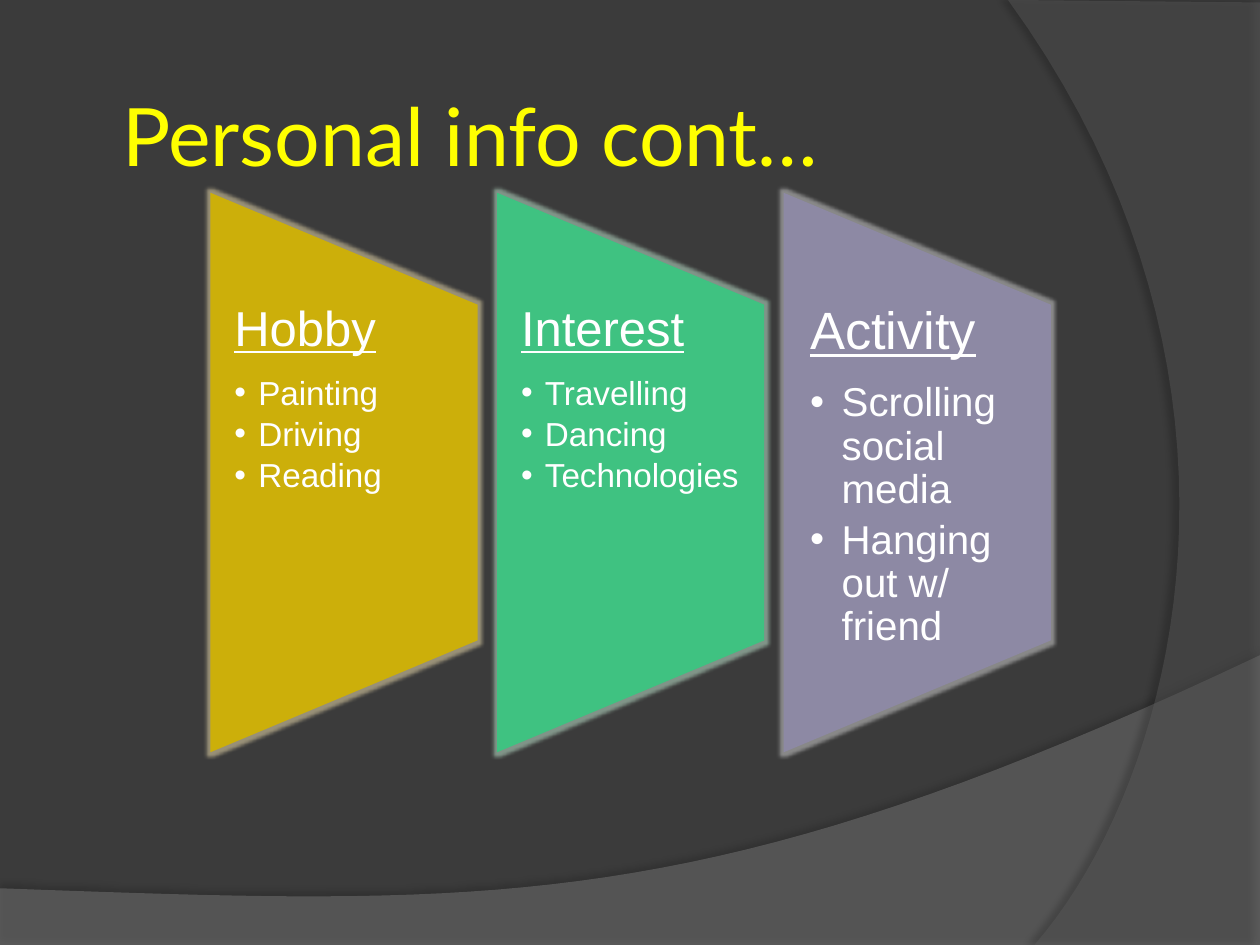
"""Build the personal info slide with three trapezoid panels."""
import lxml.etree
import pptx
import pptx.dml.color
import pptx.enum.shapes
import pptx.enum.text
import pptx.oxml.ns
import pptx.util

Inches, Pt = pptx.util.Inches, pptx.util.Pt
qn = pptx.oxml.ns.qn

TITLE = "Personal info cont…"
PANELS = [
    dict(heading="Hobby", items=["Painting", "Driving", "Reading"],
         fill="CCAF0A", glow="B8AD8C", sizes=(28, 19), inset=0.19, indent=0.19),
    dict(heading="Interest", items=["Travelling", "Dancing", "Technologies"],
         fill="3FC281", glow="98B3A3", sizes=(28, 19), inset=0.19, indent=0.19),
    dict(heading="Activity", items=["Scrolling social media", "Hanging out w/ friend"],
         fill="8D89A4", glow="A3A3A3", sizes=(30, 23), inset=0.21, indent=0.25),
]
WAVES = [
    dict(curve=[(10, 5.2), (5.59, 7.29), (3.91, 7.19), (0, 7.05)],
         corners=[(0, 7.51), (10, 7.51)], fill="7F7F7F", opacity=45,
         shadow=dict(opacity=35, blur=4, distance=3.5, angle=270)),
    dict(curve=[(8.21, 7.5), (9.35, 6.19), (10.18, 3), (8, 0)],
         corners=[(10, 0.02), (10, 7.5)], fill="5E5E5E", opacity=40,
         shadow=dict(opacity=45, blur=4, distance=4, angle=180)),
]
PANEL_LEFT, PANEL_PITCH, PANEL_WIDTH = 1.67, 2.275, 2.12
PANEL_HEIGHT, PANEL_MIDDLE, TEXT_HEIGHT = 4.44, 3.75, 2.67
CURVE_STEPS = 40


def rgb(value):
    return pptx.dml.color.RGBColor.from_string(value)


def paint(shape, color):
    shape.fill.solid()
    shape.fill.fore_color.rgb = rgb(color)
    shape.line.fill.background()
    shape.shadow.inherit = False


def add_color(parent, color, opacity):
    node = lxml.etree.SubElement(parent, qn("a:srgbClr"), val=color)
    lxml.etree.SubElement(node, qn("a:alpha"), val=str(opacity * 1000))


def add_effect(shape, tag, color, opacity, **settings):
    effects = shape._element.spPr.find(qn("a:effectLst"))
    effect = lxml.etree.SubElement(
        effects, qn(tag), {key: str(value) for key, value in settings.items()})
    add_color(effect, color, opacity)


def bezier(curve):
    for step in range(CURVE_STEPS + 1):
        t = step / CURVE_STEPS
        weights = ((1 - t) ** 3, 3 * t * (1 - t) ** 2, 3 * t * t * (1 - t), t ** 3)
        yield tuple(sum(w * point[axis] for w, point in zip(weights, curve))
                    for axis in (0, 1))


def add_wave(slide, wave):
    outline = [(Inches(x), Inches(y)) for x, y in [*bezier(wave["curve"]), *wave["corners"]]]
    builder = slide.shapes.build_freeform(*outline[0], scale=1.0)
    builder.add_line_segments(outline[1:], close=True)
    shape = builder.convert_to_shape()
    paint(shape, wave["fill"])
    solid = shape._element.spPr.find(qn("a:solidFill"))
    solid.remove(solid[0])
    add_color(solid, wave["fill"], wave["opacity"])
    shadow = wave["shadow"]
    add_effect(shape, "a:outerShdw", "000000", shadow["opacity"],
               blurRad=Pt(shadow["blur"]), dist=Pt(shadow["distance"]),
               dir=shadow["angle"] * 60000, algn="ctr", rotWithShape=0)


def add_run(paragraph, text, size, font, color, underline=False):
    run = paragraph.add_run()
    run.text = text
    run.font.size, run.font.name = Pt(size), font
    run.font.color.rgb = rgb(color)
    run.font.underline = underline


def set_frame(frame, side, vertical, anchor):
    frame.word_wrap = True
    frame.auto_size = pptx.enum.text.MSO_AUTO_SIZE.NONE
    frame.margin_left = frame.margin_right = Inches(side)
    frame.margin_top = frame.margin_bottom = Inches(vertical)
    frame.vertical_anchor = anchor


def add_bullet(paragraph, indent):
    properties = paragraph._p.get_or_add_pPr()
    properties.set("marL", str(Inches(indent)))
    properties.set("indent", str(-Inches(indent)))
    lxml.etree.SubElement(properties, qn("a:buFont"), typeface="Arial")
    lxml.etree.SubElement(properties, qn("a:buChar"), char="•")


def add_panel(slide, index, panel):
    left = PANEL_LEFT + index * PANEL_PITCH
    trapezoid = slide.shapes.add_shape(
        pptx.enum.shapes.MSO_SHAPE.FLOWCHART_MANUAL_OPERATION,
        Inches(left + (PANEL_WIDTH - PANEL_HEIGHT) / 2),
        Inches(PANEL_MIDDLE - PANEL_WIDTH / 2),
        Inches(PANEL_HEIGHT), Inches(PANEL_WIDTH))
    trapezoid.rotation = 270
    paint(trapezoid, panel["fill"])
    add_effect(trapezoid, "a:glow", panel["glow"], 75, rad=Pt(4))

    frame = slide.shapes.add_textbox(
        Inches(left), Inches(PANEL_MIDDLE - TEXT_HEIGHT / 2),
        Inches(PANEL_WIDTH), Inches(TEXT_HEIGHT)).text_frame
    set_frame(frame, panel["inset"], 0, pptx.enum.text.MSO_ANCHOR.TOP)
    heading_size, item_size = panel["sizes"]
    heading = frame.paragraphs[0]
    heading.line_spacing, heading.space_after = 0.9, Pt(round(heading_size * 0.4))
    add_run(heading, panel["heading"], heading_size, "Arial", "FFFFFF", True)
    for text in panel["items"]:
        item = frame.add_paragraph()
        item.level = 1
        item.line_spacing, item.space_after = 0.9, Pt(round(item_size * 0.17))
        add_bullet(item, panel["indent"])
        add_run(item, text, item_size, "Arial", "FFFFFF")


def add_title(slide):
    title = slide.shapes.title
    slide.shapes._spTree.append(title._element)
    title.left, title.top = Inches(0.92), Inches(0.44)
    title.width, title.height = Inches(8.17), Inches(1.25)
    set_frame(title.text_frame, 0.05, 0.05, pptx.enum.text.MSO_ANCHOR.MIDDLE)
    paragraph = title.text_frame.paragraphs[0]
    paragraph.alignment = pptx.enum.text.PP_ALIGN.LEFT
    add_run(paragraph, TITLE, 46, "Lato", "FFFF00")


def main():
    deck = pptx.Presentation()
    deck.slide_width, deck.slide_height = Inches(10), Inches(7.5)
    slide = deck.slides.add_slide(deck.slide_layouts[5])
    slide.background.fill.solid()
    slide.background.fill.fore_color.rgb = rgb("3B3B3B")
    for wave in WAVES:
        add_wave(slide, wave)
    add_title(slide)
    for index, panel in enumerate(PANELS):
        add_panel(slide, index, panel)
    deck.save("out.pptx")


if __name__ == "__main__":
    main()
